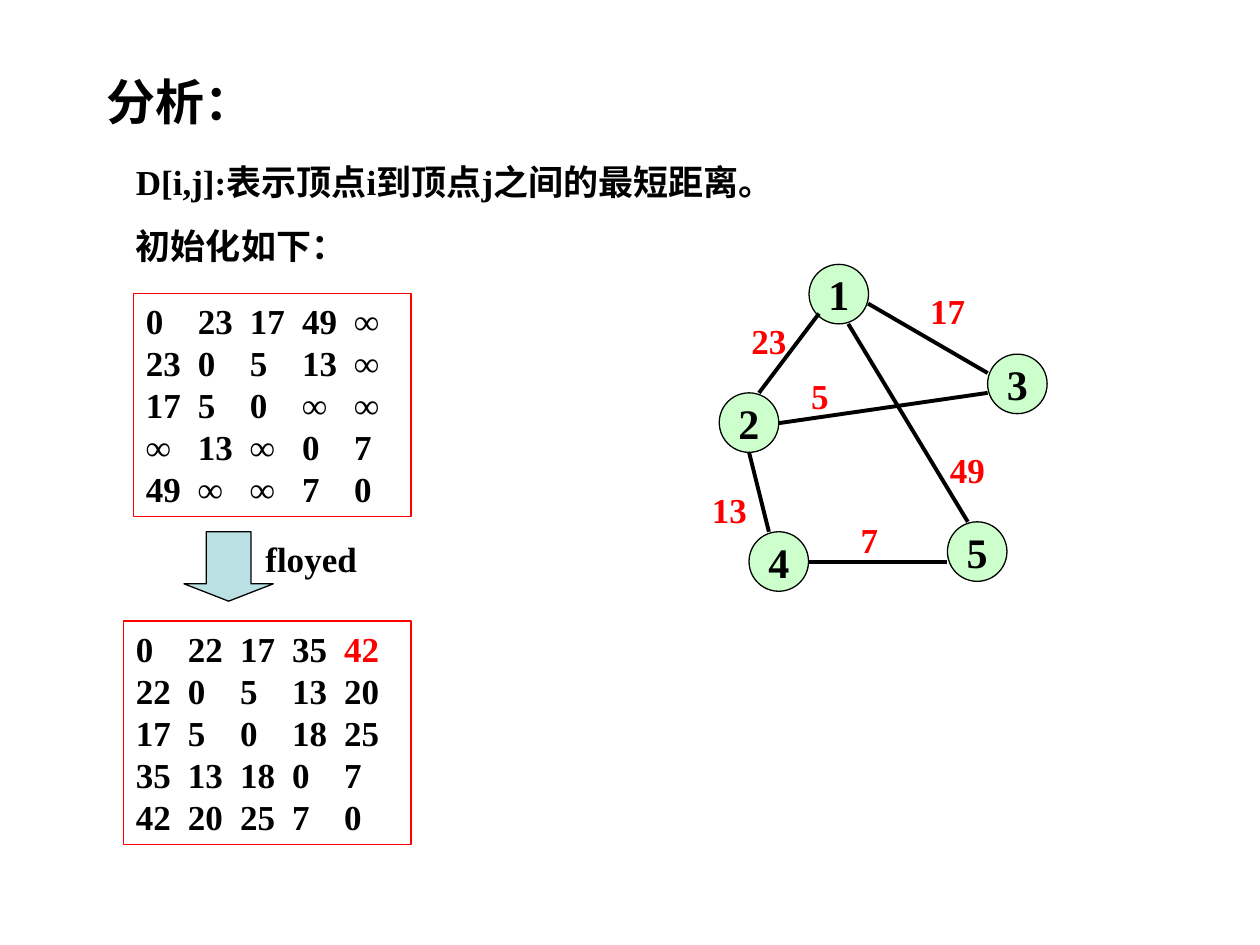
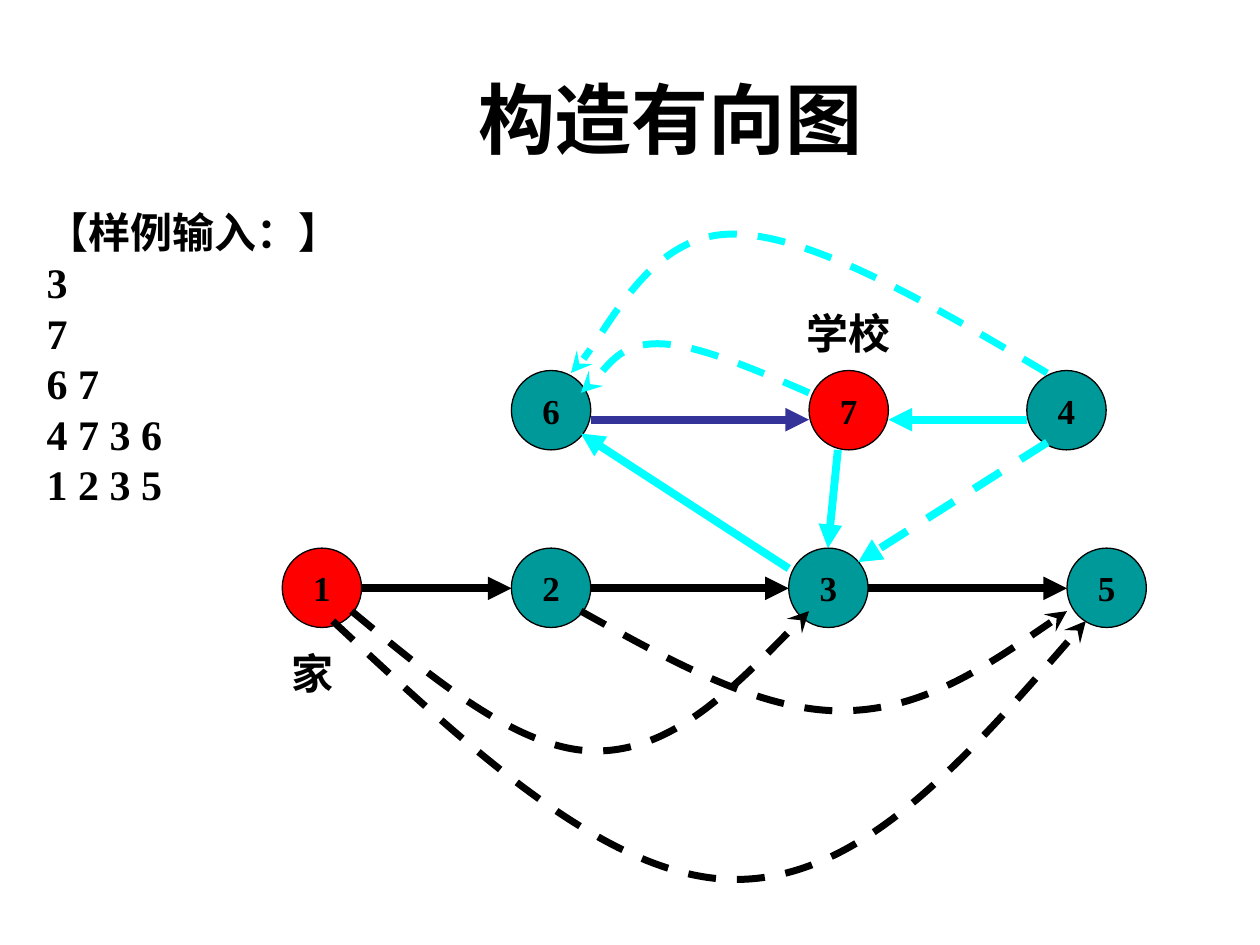
import lxml.etree
import pptx
import pptx.dml.color
import pptx.enum.dml
import pptx.enum.shapes
import pptx.enum.text
import pptx.oxml.ns
import pptx.util

Cm, Pt, qn = pptx.util.Cm, pptx.util.Pt, pptx.oxml.ns.qn
SHAPE = pptx.enum.shapes.MSO_SHAPE
ALIGN = pptx.enum.text.PP_ALIGN
ANCHOR = pptx.enum.text.MSO_ANCHOR

FONT = "Times New Roman"
BLACK, RED, CYAN, INDIGO = "000000", "FF0000", "00FFFF", "333399"
MINT, TEAL, PALE_BLUE = "CCFFCC", "009999", "BBE0E3"
THIN, EDGE, CURVE, ARROW = 0.75, 2.25, 4, 4.5
COLUMN = 1.05  # matrix column pitch in cm


def rgb(code):
    """Turn a hex string into a colour."""
    return pptx.dml.color.RGBColor.from_string(code)


class Deck:
    """Holds the shared style and the current slide."""

    def __init__(self):
        """Open an empty 4:3 presentation."""
        self.prs = pptx.Presentation()
        self.prs.slide_width, self.prs.slide_height = Cm(25.4), Cm(19.05)
        self.s = None

    def slide(self, title, box, size, align=ALIGN.LEFT):
        """Start a title-only slide and place its title."""
        self.s = self.prs.slides.add_slide(self.prs.slide_layouts[5])
        sp = self.s.shapes.title
        sp.left, sp.top, sp.width, sp.height = map(Cm, box)
        self.fill_text(sp, [title], size, align=align)

    def fill_text(self, sp, lines, size, color=BLACK, align=ALIGN.LEFT,
                  anchor=ANCHOR.TOP, wrap=True, gap=0):
        """Fill a shape with bold paragraphs."""
        tf = sp.text_frame
        tf.text = "\n".join(lines)
        tf.word_wrap, tf.vertical_anchor = wrap, anchor
        tf.auto_size = pptx.enum.text.MSO_AUTO_SIZE.NONE
        for i, p in enumerate(tf.paragraphs):
            p.alignment = align
            p.space_before = Pt(gap if i else 0)
            for r in p.runs:
                self.style(r, size, color)

    def style(self, r, size, color):
        """Format one run."""
        r.font.name, r.font.size, r.font.bold = FONT, Pt(size), True
        r.font.color.rgb = rgb(color)

    def text(self, lines, box, size, **options):
        """Add a text box."""
        sp = self.s.shapes.add_textbox(*map(Cm, box))
        self.fill_text(sp, lines, size, **options)

    def shape(self, kind, box, fill=None, line=BLACK):
        """Add a thinly outlined preset shape."""
        sp = self.s.shapes.add_shape(kind, *map(Cm, box))
        sp.shadow.inherit = False
        if fill:
            sp.fill.solid()
            sp.fill.fore_color.rgb = rgb(fill)
        else:
            sp.fill.background()
        self.stroke(sp, line, THIN)
        return sp

    def stroke(self, sp, color, width, dashed=False, head=None):
        """Set the line of a shape, with an optional dash and arrowhead."""
        sp.line.color.rgb = rgb(color)
        sp.line.width = Pt(width)
        if dashed:
            sp.line.dash_style = pptx.enum.dml.MSO_LINE.DASH
        if head:
            ln = sp._element.spPr.find(qn("a:ln"))
            lxml.etree.SubElement(ln, qn("a:tailEnd"), type=head)

    def node(self, label, x, y, d, fill, size):
        """Add a numbered graph node."""
        sp = self.shape(SHAPE.OVAL, (x, y, d, d), fill)
        self.fill_text(sp, [label], size, align=ALIGN.CENTER,
                       anchor=ANCHOR.MIDDLE, wrap=False)

    def edge(self, start, end, color=BLACK, width=EDGE, **options):
        """Add a straight graph edge."""
        sp = self.s.shapes.add_connector(
            pptx.enum.shapes.MSO_CONNECTOR.STRAIGHT, *map(Cm, start + end))
        self.stroke(sp, color, width, **options)
        lxml.etree.SubElement(sp._element.spPr, qn("a:effectLst"))

    def curve(self, start, xs, y, end, color, last=None):
        """Add a dashed arrow of two Bezier arcs that meet at level y."""
        before, peak, after = [(x, y) for x in xs]
        first = [(a + b) / 2 for a, b in zip(start, before)]
        last = last or [(a + b) / 2 for a, b in zip(after, end)]
        points = [tuple(map(Cm, pt))
                  for pt in (first, before, peak, after, last, end)]
        fb = self.s.shapes.build_freeform(*map(Cm, start), scale=1.0)
        fb.add_line_segments(points, close=False)
        sp = fb.convert_to_shape()
        lines = list(sp._element.iter(qn("a:lnTo")))
        outline = lines[0].getparent()
        for i in (0, 3):
            arc = lxml.etree.SubElement(outline, qn("a:cubicBezTo"))
            for segment in lines[i:i + 3]:
                arc.append(segment[0])
                outline.remove(segment)
        sp.shadow.inherit = False
        sp.fill.background()
        self.stroke(sp, color, CURVE, dashed=True, head="stealth")

    def matrix(self, rows, box, red_end=None):
        """Add a framed matrix; the last value of row red_end is red."""
        sp = self.shape(SHAPE.RECTANGLE, box, line=RED)
        cells = [row.split() for row in rows]
        red = cells[red_end].pop() if red_end is not None else None
        self.fill_text(sp, ["\t".join(row) for row in cells], 20)
        for p in sp.text_frame.paragraphs:
            tabs = lxml.etree.SubElement(
                p._p.get_or_add_pPr(), qn("a:tabLst"))
            for i in range(1, len(rows)):
                lxml.etree.SubElement(tabs, qn("a:tab"), algn="l",
                                      pos=str(Cm(COLUMN * i)))
        if red:
            r = sp.text_frame.paragraphs[red_end].add_run()
            r.text = "\t" + red
            self.style(r, 20, RED)


def analysis_slide(deck):
    """Distance matrices before and after, beside the weighted graph."""
    deck.slide("分析：", (1.9, 1.32, 3.8, 1.45), 28)
    deck.text(["D[i,j]:表示顶点i到顶点j之间的最短距离。", "初始化如下："],
              (2.49, 3.12, 15.19, 2.39), 20, gap=12.5)
    deck.matrix(["0 23 17 49 ∞", "23 0 5 13 ∞", "17 5 0 ∞ ∞",
                 "∞ 13 ∞ 0 7", "49 ∞ ∞ 7 0"], (2.69, 5.92, 5.6, 4.5))

    for label, x, y in [("1", 16.31, 5.33), ("2", 14.5, 7.92),
                        ("3", 19.91, 7.14), ("4", 15.1, 10.72),
                        ("5", 19.1, 10.52)]:
        deck.node(label, x, y, 1.2, MINT, 24)
    for start, end in [((16.51, 6.32), (15.3, 7.92)),
                       ((17.5, 6.12), (19.91, 7.52)),
                       ((15.7, 8.53), (19.91, 7.92)),
                       ((15.1, 9.12), (15.5, 10.72)),
                       ((16.31, 11.33), (19.1, 11.33)),
                       ((17.1, 6.53), (19.51, 10.52))]:
        deck.edge(start, end)
    for weight, x, y in [("23", 14.9, 6.32), ("17", 18.5, 5.72),
                         ("5", 16.1, 7.42), ("49", 18.9, 8.92),
                         ("13", 14.1, 9.72), ("7", 17.1, 10.32)]:
        deck.text([weight], (x, y, 1.4, 1.12), 20, color=RED)

    deck.matrix(["0 22 17 35 42", "22 0 5 13 20", "17 5 0 18 25",
                 "35 13 18 0 7", "42 20 25 7 0"],
                (2.49, 12.52, 5.8, 4.5), red_end=0)
    deck.shape(SHAPE.DOWN_ARROW, (3.71, 10.72, 1.8, 1.4),
               PALE_BLUE).adjustments[1] = 0.25
    deck.text(["floyed"], (5.1, 10.72, 3.4, 1.12), 20)


def directed_graph_slide(deck):
    """Sample input and the directed graph built from it."""
    deck.slide("构造有向图", (7.32, 1.32, 12.4, 2.13), 44, ALIGN.CENTER)
    deck.text(["【样例输入：】", "3", "7", "6 7", "4 7 3 6", "1 2 3 5"],
              (0.69, 4.04, 6.6, 6.35), 24)

    d, upper, lower = 1.6, 7.47, 11.05
    home_line = [("1", 5.69), ("2", 10.31), ("3", 15.9), ("5", 21.51)]
    school_line = [("4", 20.7), ("6", 10.31), ("7", 16.31)]
    for y, stops in ((lower, home_line), (upper, school_line)):
        for label, x in stops:
            fill = RED if label in ("1", "7") else TEAL
            deck.node(label, x, y, d, fill, 20)

    edges = [((11.91, 8.46), (16.31, 8.46), INDIGO),
             ((20.7, 8.46), (17.91, 8.46), CYAN),
             ((16.89, 9.07), (16.69, 11.05), CYAN),
             ((15.9, 11.46), (11.71, 8.74), CYAN)]
    for (_, x1), (_, x2) in zip(home_line, home_line[1:]):
        edges.append(((x1 + d, 11.86), (x2, 11.86), BLACK))
    for start, end, color in edges:
        deck.edge(start, end, color, ARROW, head="triangle")
    deck.edge((21.11, 8.92), (17.3, 11.33), CYAN, ARROW,
              dashed=True, head="triangle")

    for place, x, y in [("家", 5, 12.93), ("学校", 15.8, 6.07)]:
        deck.text([place], (x, y, 2.6, 1.27), 24, align=ALIGN.CENTER)

    deck.curve((7.09, 12.32), (10.49, 12.01, 13.56), 15.14,
               (16.31, 12.32), BLACK)
    deck.curve((6.71, 12.52), (12.29, 14.83, 17.37), 17.73,
               (21.89, 12.52), BLACK)
    deck.curve((11.71, 12.32), (15.32, 16.94, 18.59), 14.33,
               (21.51, 12.32), BLACK)
    deck.curve((21.11, 7.52), (16.36, 14.76, 13.16), 4.72,
               (11.51, 7.52), CYAN, last=(12.04, 7.06))
    deck.curve((16.31, 7.92), (14.02, 13.26, 12.5), 6.93,
               (11.71, 7.92), CYAN, last=(11.96, 7.75))


deck = Deck()
analysis_slide(deck)
directed_graph_slide(deck)
deck.prs.save("out.pptx")
